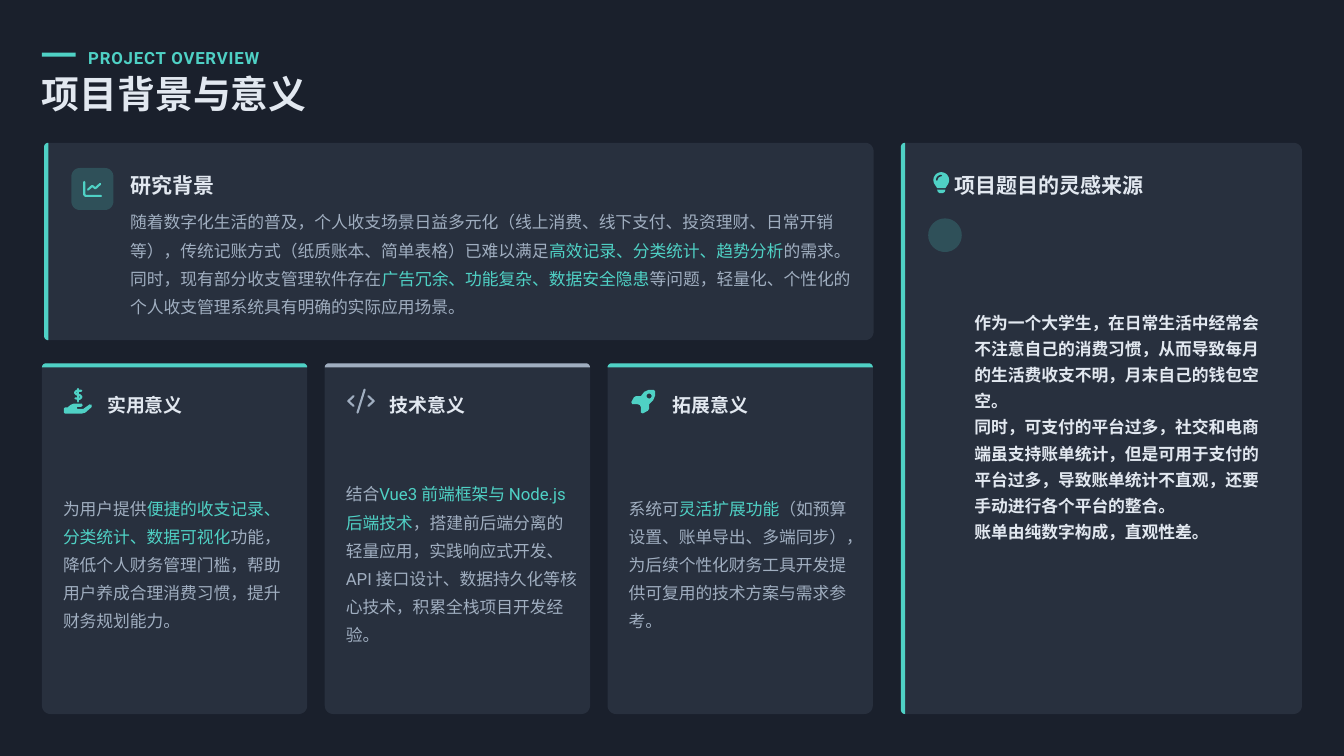
import math

import lxml.etree
import pptx
import pptx.dml.color
import pptx.enum.text
import pptx.oxml.ns
import pptx.util

COLS, ROWS = 640, 360
BG, PANEL, SOLID_PANEL = "1A202C", "4A5568", "28303E"
TEAL, WHITE, GREY = "4FD1C5", "E2E8F0", "A0AEC0"
TOP, BOTTOM = 68, 340


def color(value):
    return pptx.dml.color.RGBColor.from_string(value)


def arc(cx, cy, r, start, end, steps=8):
    angles = [math.radians(start + (end - start) * i / steps) for i in range(steps + 1)]
    return [(cx + r * math.cos(a), cy + r * math.sin(a)) for a in angles]


class Deck:
    """Draws styled elements on a slide measured in grid columns and rows."""

    def __init__(self, font):
        self.font = font
        self.prs = pptx.Presentation()
        self.prs.slide_width = pptx.util.Inches(17.78)
        self.prs.slide_height = pptx.util.Inches(10)
        self.s = self.prs.slides.add_slide(self.prs.slide_layouts[6])
        self.s.background.fill.solid()
        self.s.background.fill.fore_color.rgb = color(BG)

    def x(self, cols):
        return round(self.prs.slide_width * cols / COLS)

    def y(self, rows):
        return round(self.prs.slide_height * rows / ROWS)

    def outline(self, contours, origin, close):
        ox, oy = origin
        contours = [[(self.x(ox + px), self.y(oy + py)) for px, py in c] for c in contours]
        builder = self.s.shapes.build_freeform(*contours[0][0], scale=1.0)
        for i, points in enumerate(contours):
            if i:
                builder.move_to(*points[0])
            builder.add_line_segments(points[1:], close=close)
        sp = builder.convert_to_shape()
        sp.shadow.inherit = False
        return sp

    def solid(self, contours, fill, origin=(0, 0), alpha=100):
        sp = self.outline(contours, origin, True)
        sp.fill.solid()
        sp.fill.fore_color.rgb = color(fill)
        sp.line.fill.background()
        if alpha < 100:
            clr = sp._element.spPr.find(".//" + pptx.oxml.ns.qn("a:srgbClr"))
            lxml.etree.SubElement(clr, pptx.oxml.ns.qn("a:alpha"), val=str(alpha * 1000))

    def stroke(self, contours, line, origin, width=2):
        sp = self.outline(contours, origin, False)
        sp.fill.background()
        sp.line.color.rgb = color(line)
        sp.line.width = pptx.util.Pt(width)
        ln = sp._element.spPr.find(pptx.oxml.ns.qn("a:ln"))
        ln.set("cap", "rnd")
        lxml.etree.SubElement(ln, pptx.oxml.ns.qn("a:round"))

    def panel(self, x, y, w, h, radii, fill, alpha=100):
        tl, tr, br, bl = radii
        points = (arc(x + tl, y + tl, tl, 180, 270) + arc(x + w - tr, y + tr, tr, 270, 360)
                  + arc(x + w - br, y + h - br, br, 0, 90) + arc(x + bl, y + h - bl, bl, 90, 180))
        self.solid([points], fill, alpha=alpha)

    def side_card(self, x, y, w, h):
        self.panel(x, y, w, h, (2, 4, 4, 2), PANEL, 30)
        self.panel(x, y, 2, h, (2, 0, 0, 2), TEAL)

    def top_card(self, x, y, w, h, accent):
        self.panel(x, y, w, h, (2, 2, 4, 4), PANEL, 30)
        self.panel(x, y, w, 2, (2, 2, 0, 0), accent)

    def text(self, x, y, w, h, paragraphs, size, colors, bold=False, spacing=1.3, tracking=0):
        tf = self.s.shapes.add_textbox(self.x(x), self.y(y), self.x(w), self.y(h)).text_frame
        tf.word_wrap = True
        tf.margin_left = tf.margin_right = tf.margin_top = tf.margin_bottom = 0
        tf.vertical_anchor = pptx.enum.text.MSO_ANCHOR.MIDDLE
        for i, parts in enumerate(paragraphs):
            p = tf.add_paragraph() if i else tf.paragraphs[0]
            p.line_spacing = spacing
            for j, part in enumerate(parts.split("|")):
                r = p.add_run()
                r.text = part
                r.font.name = self.font
                r.font.size = pptx.util.Pt(size)
                r.font.bold = bold
                r.font.color.rgb = color(colors[j % len(colors)])
                if tracking:
                    r._r.get_or_add_rPr().set("spc", str(tracking))

    def chart_icon(self, *origin):
        self.stroke([[(0.5, 1), (0.5, 7.1), (1.1, 7.7), (8.5, 7.7)],
                     [(2.3, 4.7), (4.3, 2.9), (5.8, 4.1), (8.1, 2)]], TEAL, origin)

    def hand_icon(self, *origin):
        self.stroke([[(6.9, 0.2), (6.9, 6.2)],
                     [(8.3, 1.1), (6, 1.1), (5.3, 2), (6, 2.8), (7.7, 3.2),
                      (8.4, 4.1), (7.6, 4.9), (5.5, 4.7)]], TEAL, origin)
        self.solid([[(0.5, 9), (1.8, 9), (3.2, 7.8), (4.7, 7.2), (8.5, 7.2), (9, 8), (8.3, 8.7),
                     (6.5, 8.7), (6.1, 9.2), (6.5, 9.7), (9.3, 9.7), (12.2, 7.6), (13.2, 7.7),
                     (13.3, 8.8), (10.2, 11.5), (8.3, 12), (0.6, 12), (0, 11.4), (0, 9.5)]],
                   TEAL, origin)

    def code_icon(self, *origin):
        self.stroke([[(8.6, 0.5), (5.2, 11.5)],
                     [(10.4, 3.7), (12.9, 6), (10.4, 8.3)],
                     [(3.3, 3.7), (0.8, 6), (3.3, 8.3)]], GREY, origin)

    def rocket_icon(self, *origin):
        body = [(3, 7.5), (0.6, 7.5), (0.1, 6.5), (1.4, 4.2), (2.4, 3.6), (4.7, 3.6), (6.3, 1.6),
                (8.3, 0.7), (10.8, 0.7), (11.5, 1.3), (11.5, 3.3), (10.6, 5.5), (8.6, 7.5),
                (8.6, 9.7), (8, 10.6), (5.6, 11.9), (4.7, 11.5), (4.7, 9), (4.2, 7.9)]
        self.solid([body, arc(8.6, 3.6, 1.2, 360, 0, 16)], TEAL, origin)

    def bulb_icon(self, *origin):
        self.solid([arc(3.75, 3.75, 3.75, 145, 395, 24) + [(5.7, 7.6), (1.8, 7.6)],
                    [(1.8, 8.3), (5.7, 8.3), (5.4, 9.4), (4.5, 10), (3, 10), (2.1, 9.4)]],
                   TEAL, origin)
        self.stroke([arc(3.75, 3.75, 2.1, 180, 270)], SOLID_PANEL, origin, 1.5)


def main():
    d = Deck("Roboto")
    d.panel(20, 25, 16, 2, (0, 0, 0, 0), TEAL)
    d.text(42, 20, 88.5, 12, ["PROJECT OVERVIEW"], 16, [TEAL], True, tracking=80)
    d.text(20, 36, 609, 20, ["项目背景与意义"], 36, [WHITE], True, 0.9)

    d.side_card(21, TOP, 395, 94)
    d.panel(34, 80, 20, 20, (4, 4, 4, 4), TEAL, 20)
    d.chart_icon(39.6, 85.6)
    d.text(62, 80, 347, 14, ["研究背景"], 20, [WHITE], True, 1.2)
    d.text(62, 98, 346, 52, [
        "随着数字化生活的普及，个人收支场景日益多元化（线上消费、线下支付、投资理财、日常开销等），"
        "传统记账方式（纸质账本、简单表格）已难以满足|高效记录、分类统计、趋势分析|的需求。"
        "同时，现有部分收支管理软件存在|广告冗余、功能复杂、数据安全隐患|等问题，"
        "轻量化、个性化的个人收支管理系统具有明确的实际应用场景。"], 16, [GREY, TEAL], spacing=1.4)

    meanings = [
        ("实用意义", TEAL, d.hand_icon, 10.4,
         "为用户提供|便捷的收支记录、分类统计、数据可视化|功能，降低个人财务管理门槛，"
         "帮助用户养成合理消费习惯，提升财务规划能力。"),
        ("技术意义", GREY, d.code_icon, 10.4,
         "结合|Vue3 前端框架与 Node.js 后端技术|，搭建前后端分离的轻量应用，"
         "实践响应式开发、API 接口设计、数据持久化等核心技术，积累全栈项目开发经验。"),
        ("拓展意义", TEAL, d.rocket_icon, 11.2,
         "系统可|灵活扩展功能|（如预算设置、账单导出、多端同步），"
         "为后续个性化财务工具开发提供可复用的技术方案与需求参考。"),
    ]
    y, width, gap = 173, 126.33, 8.33
    for i, (title, accent, icon, indent, body) in enumerate(meanings):
        x = 20 + i * (width + gap)
        d.top_card(x, y, width, BOTTOM - y, accent)
        icon(x + indent, y + 12)
        d.text(x + 31, y + 11, 40.4, 14, [title], 18, [WHITE], True)
        d.text(x + 10, y + 31, 110.5, 126, [body], 16, [GREY, TEAL], spacing=1.4)

    d.side_card(429, TOP, 191, BOTTOM - TOP)
    d.bulb_icon(444.5, 82)
    d.text(454.3, 80, 158.4, 14, ["项目题目的灵感来源"], 20, [WHITE], True, 1.2)
    d.panel(442, 104, 16, 16, (8, 8, 8, 8), TEAL, 20)
    d.text(464, 104, 139.3, 196, [
        "作为一个大学生，在日常生活中经常会不注意自己的消费习惯，从而导致每月的生活费收支不明，"
        "月末自己的钱包空空。",
        "同时，可支付的平台过多，社交和电商端虽支持账单统计，但是可用于支付的平台过多，"
        "导致账单统计不直观，还要手动进行各个平台的整合。",
        "账单由纯数字构成，直观性差。"], 16, [WHITE], True)
    d.prs.save("out.pptx")


if __name__ == "__main__":
    main()
